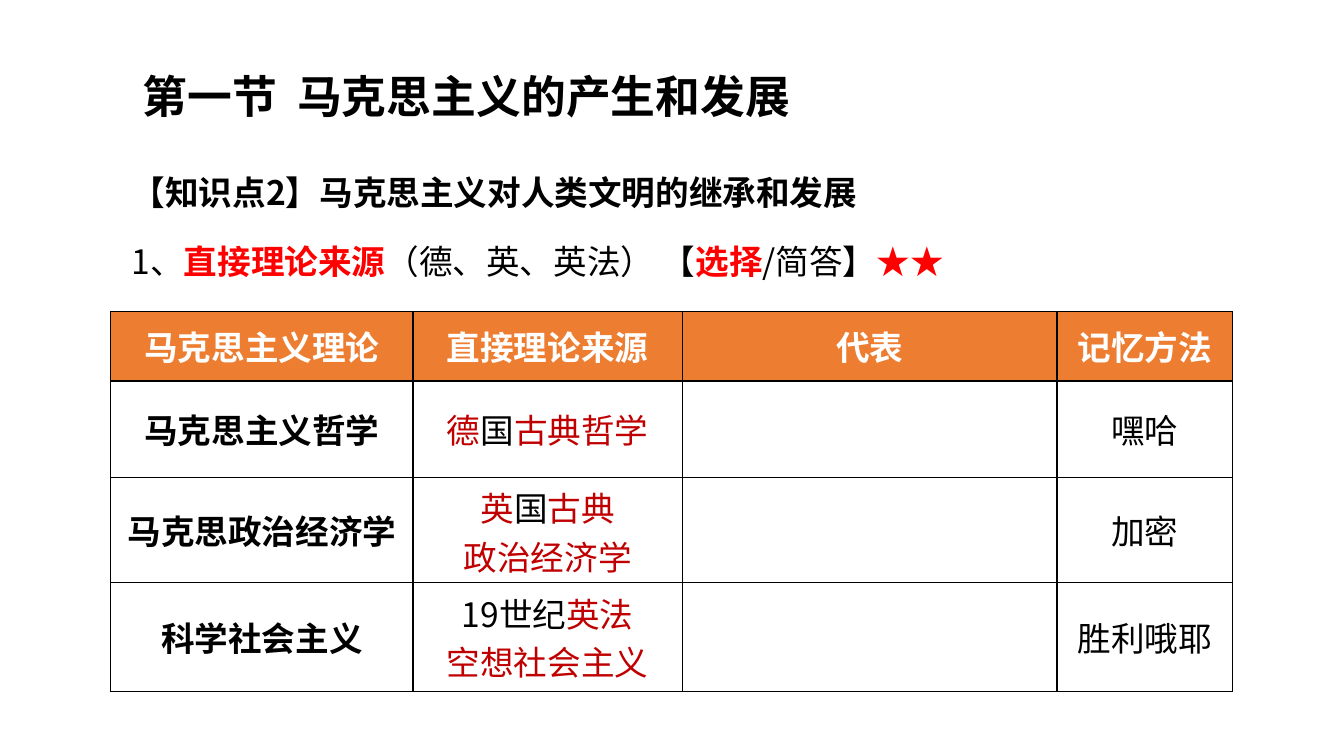
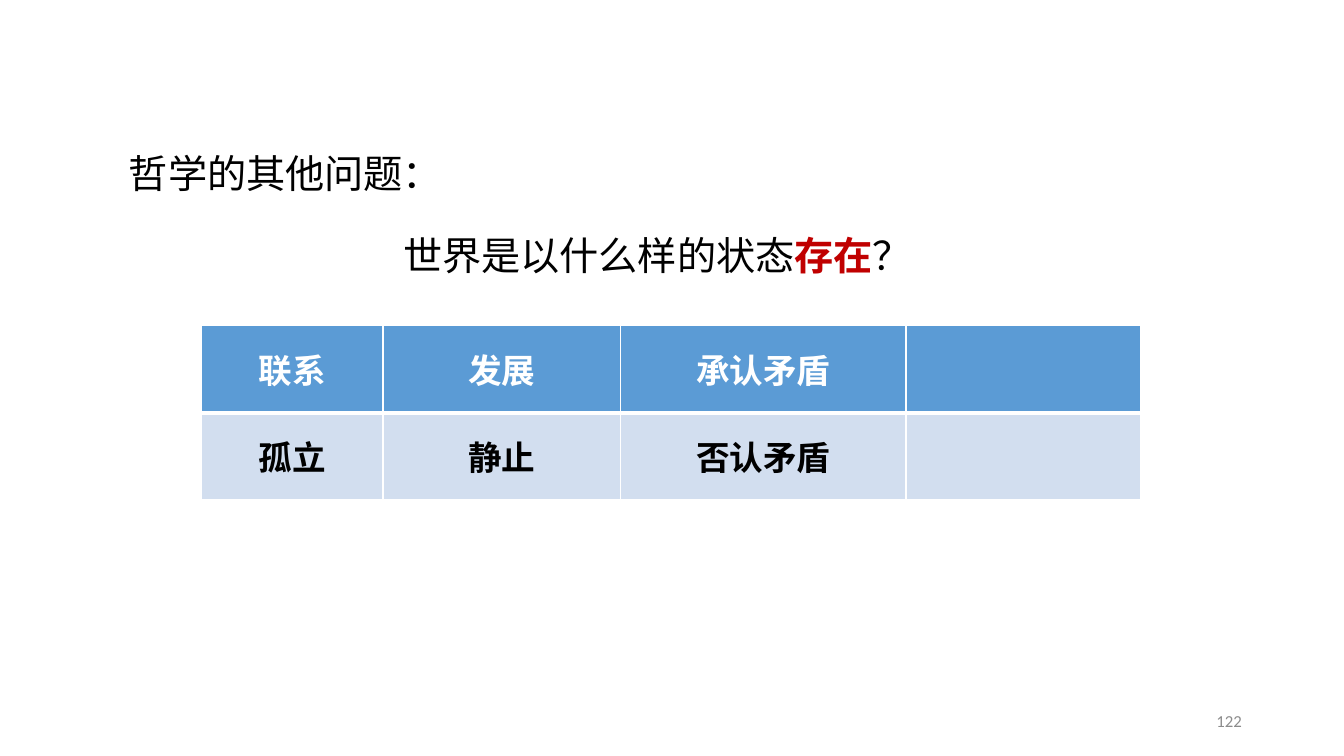
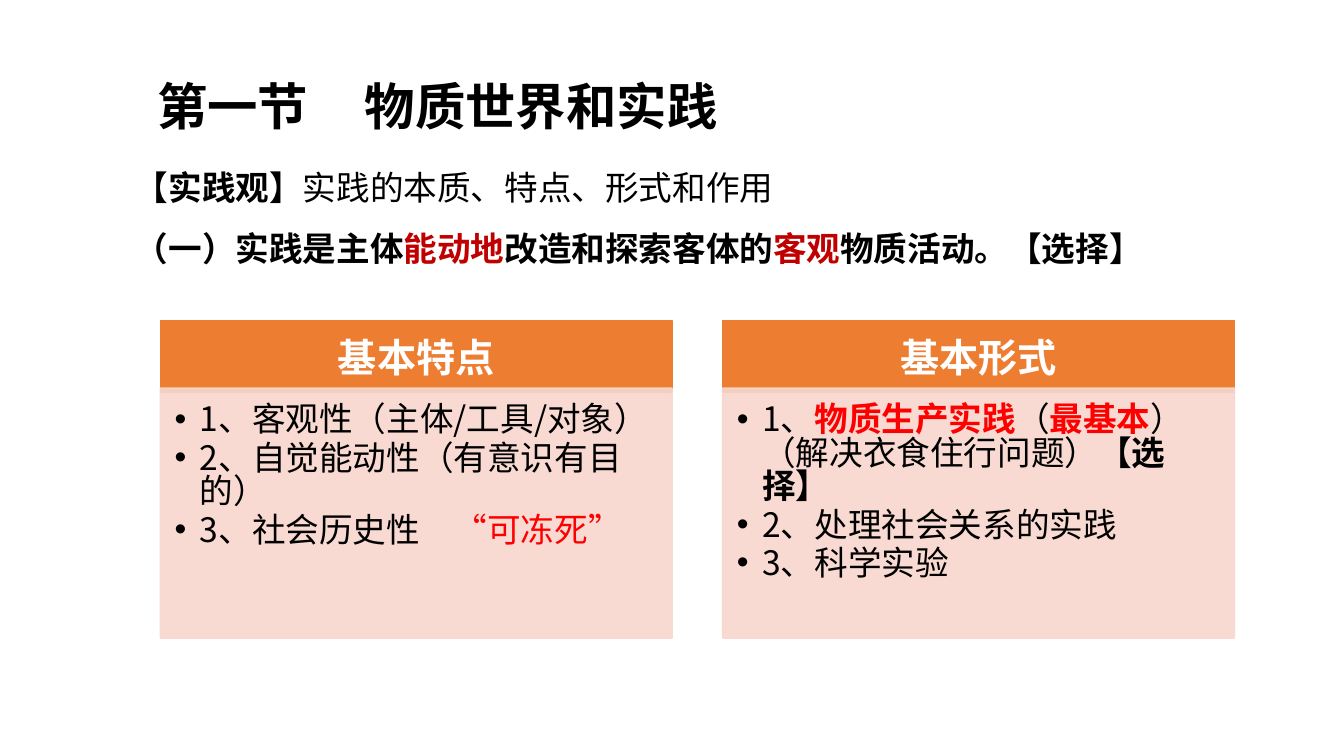
import pptx
import pptx.util
import pptx.dml.color
import pptx.enum.shapes
import pptx.enum.text
import pptx.oxml
import pptx.oxml.ns
from dataclasses import dataclass
from lxml import etree

Cm, Pt = pptx.util.Cm, pptx.util.Pt
RGB = pptx.dml.color.RGBColor.from_string
ALIGN, ANCHOR = pptx.enum.text.PP_ALIGN, pptx.enum.text.MSO_ANCHOR
RECT = pptx.enum.shapes.MSO_SHAPE.RECTANGLE
qn = pptx.oxml.ns.qn


@dataclass(frozen=True)
class Theme:
    font: str = "Noto Sans CJK SC"
    number_font: str = "Calibri"
    black: str = "000000"
    white: str = "FFFFFF"
    red: str = "FF0000"
    dark_red: str = "C00000"
    grey: str = "8C8C8C"
    orange: str = "ED7D31"
    peach: str = "F8D7CE"
    blue: str = "5B9BD5"
    pale_blue: str = "D2DEEF"
    section: int = 36
    title: int = 32
    lead: int = 28
    body: int = 24
    number: int = 12


T = Theme()

# Run styles: colour and weight
PLAIN, BOLD = (T.black, False), (T.black, True)
HEAD = (T.white, True)
RED, RED_BOLD = (T.red, False), (T.red, True)
DARK, DARK_BOLD = (T.dark_red, False), (T.dark_red, True)


def write(tf, paragraphs, size, align=ALIGN.LEFT, spacing=None, font=T.font):
    """Fill a text frame; each paragraph is a list of (text, style) runs."""
    tf.word_wrap = True
    for i, runs in enumerate(paragraphs):
        p = tf.add_paragraph() if i else tf.paragraphs[0]
        p.alignment = align
        p.line_spacing = spacing
        for text, (color, bold) in runs:
            r = p.add_run()
            r.text = text
            r.font.size, r.font.bold, r.font.name = Pt(size), bold, font
            r.font.color.rgb = RGB(color)
            etree.SubElement(r.font._element, qn("a:ea"), typeface=font)


def add_table(s, left, top, widths, heights, rows, fills, line, rules):
    """Add a table; rules gives the width of each horizontal line."""
    shape = s.shapes.add_table(len(rows), len(widths), Cm(left), Cm(top),
                               Cm(sum(widths)), Cm(sum(heights)))
    table = shape.table
    for col, width in zip(table.columns, widths):
        col.width = Cm(width)
    for i, (cells, height) in enumerate(zip(rows, heights)):
        table.rows[i].height = Cm(height)
        for j, paragraphs in enumerate(cells):
            cell = table.cell(i, j)
            cell.vertical_anchor = ANCHOR.MIDDLE
            borders = {"L": 1, "R": 1, "T": rules[i], "B": rules[i + 1]}
            for side, width in borders.items():
                ln = etree.SubElement(cell._tc.get_or_add_tcPr(),
                                      qn("a:ln" + side), w=str(Pt(width)))
                fill = etree.SubElement(ln, qn("a:solidFill"))
                etree.SubElement(fill, qn("a:srgbClr"), val=line)
            cell.fill.solid()
            cell.fill.fore_color.rgb = RGB(fills[i])
            write(cell.text_frame, paragraphs, T.body, ALIGN.CENTER)


prs = pptx.Presentation()
prs.slide_width, prs.slide_height = Cm(33.87), Cm(19.05)
sources, states, practice = [
    prs.slides.add_slide(prs.slide_layouts[6]) for _ in range(3)]

# Section titles, with a tab between number and name
titles = [
    (sources, 3.35, 1.6, 16.97, 1.63, T.title, 1, 3.89,
     "第一节\t马克思主义的产生和发展"),
    (practice, 3.71, 0.25, 22.12, 4.14, T.section, 2.0, 5.23,
     "第一节\t物质世界和实践"),
]
for s, left, top, width, height, size, spacing, stop, text in titles:
    tf = s.shapes.add_textbox(Cm(left), Cm(top), Cm(width), Cm(height)).text_frame
    write(tf, [[(text, BOLD)]], size, spacing=float(spacing))
    tabs = etree.SubElement(tf.paragraphs[0]._p.get_or_add_pPr(), qn("a:tabLst"))
    etree.SubElement(tabs, qn("a:tab"), pos=str(Cm(stop)), algn="l")

# Lead texts
leads = [
    (sources, 3.07, 3.78, 18.92, 1.63, T.body, 1.5, ANCHOR.MIDDLE,
     [[("【知识点2】马克思主义对人类文明的继承和发展", BOLD)]]),
    (sources, 3.07, 5.94, 23.6, 2.31, T.body, 1.0, ANCHOR.TOP,
     [[("1、", PLAIN), ("直接理论来源", RED_BOLD), ("（德、英、英法） 【", PLAIN),
       ("选择", RED_BOLD), ("/简答】", PLAIN), ("★★", RED)]]),
    (states, 3.0, 3.05, 16.87, 2.06, T.lead, 1.5, ANCHOR.TOP,
     [[("哲学的其他问题：", PLAIN)]]),
    (states, 9.91, 5.11, 14.02, 2.06, T.lead, 1.5, ANCHOR.TOP,
     [[("世界是以什么样的状态", PLAIN), ("存在", DARK_BOLD), ("？", PLAIN)]]),
    (practice, 3.15, 3.58, 27.18, 3.33, T.body, 1.5, ANCHOR.TOP,
     [[("【实践观】", BOLD), ("实践的本质、特点、形式和作用", PLAIN)],
      [("（一）实践是主体", BOLD), ("能动地", DARK_BOLD),
       ("改造和探索客体的", BOLD), ("客观", DARK_BOLD),
       ("物质活动。【选择】", BOLD)]]),
]
for s, left, top, width, height, size, spacing, anchor, paragraphs in leads:
    tf = s.shapes.add_textbox(Cm(left), Cm(top), Cm(width), Cm(height)).text_frame
    tf.vertical_anchor = anchor
    write(tf, paragraphs, size, spacing=spacing)

# Table of theory sources
headings = ["马克思主义理论", "直接理论来源", "代表", "记忆方法"]
theories = [
    ("马克思主义哲学",
     [[("德", DARK), ("国", PLAIN), ("古典哲学", DARK)]], "嘿哈"),
    ("马克思政治经济学",
     [[("英", DARK), ("国", PLAIN), ("古典", DARK)], [("政治经济学", DARK)]],
     "加密"),
    ("科学社会主义",
     [[("19世纪", PLAIN), ("英法", DARK)], [("空想社会主义", DARK)]],
     "胜利哦耶"),
]
rows = [[[[(h, HEAD)]] for h in headings]]
rows += [[[[(name, BOLD)]], source, [], [[(hint, PLAIN)]]]
         for name, source, hint in theories]
add_table(sources, 2.79, 7.85, [7.62, 6.78, 9.45, 4.42],
          [1.75, 2.44, 2.64, 2.74], rows, [T.orange] + [T.white] * 3,
          T.black, [1] * 5)

# Table of opposed states
pairs = [("联系", "孤立"), ("发展", "静止"), ("承认矛盾", "否认矛盾")]
rows = [[[[(pair[i], style)]] for pair in pairs] + [[]]
        for i, style in enumerate([HEAD, BOLD])]
add_table(states, 5.08, 8.2, [4.57, 5.99, 7.19, 5.92], [2.2, 2.2], rows,
          [T.blue, T.pale_blue], T.white, [1, 3, 1])

# Slide number
tf = states.shapes.add_textbox(Cm(23.93), Cm(17.65), Cm(7.62), Cm(1.02)).text_frame
tf.vertical_anchor = ANCHOR.MIDDLE
write(tf, [[("122", (T.grey, False))]], T.number, ALIGN.RIGHT, font=T.number_font)

# Two panels: heading bar over a bulleted list
panels = [
    ("基本特点",
     [[("1、客观性（主体/工具/对象）", PLAIN)],
      [("2、自觉能动性（有意识有目的）", PLAIN)],
      [("3、社会历史性　", PLAIN), ("“可冻死”", RED)]]),
    ("基本形式",
     [[("1、", PLAIN), ("物质生产实践", RED_BOLD), ("（", PLAIN),
       ("最基本", RED_BOLD), ("）（解决衣食住行问题）", PLAIN), ("【选择】", BOLD)],
      [("2、处理社会关系的实践", PLAIN)],
      [("3、科学实验", PLAIN)]]),
]
for i, (heading, items) in enumerate(panels):
    left = 4.04 + i * 14.17
    bar = practice.shapes.add_shape(RECT, Cm(left), Cm(8.08), Cm(12.9), Cm(1.8))
    body = practice.shapes.add_shape(RECT, Cm(left), Cm(9.78), Cm(12.9), Cm(6.3))
    for sp, color in [(bar, T.orange), (body, T.peach)]:
        sp.shadow.inherit = False
        sp.fill.solid()
        sp.fill.fore_color.rgb = sp.line.color.rgb = RGB(color)
        sp.line.width = Pt(1)
    for clr in body._element.spPr.iter(qn("a:srgbClr")):
        etree.SubElement(clr, qn("a:alpha"), val="90000")

    bar.text_frame.vertical_anchor = ANCHOR.MIDDLE
    write(bar.text_frame, [[(heading, HEAD)]], T.lead, ALIGN.CENTER)

    tf = body.text_frame
    tf.vertical_anchor = ANCHOR.TOP
    tf.margin_left, tf.margin_right = Cm(0.36), Cm(0.48)
    tf.margin_top, tf.margin_bottom = Cm(0.43), Cm(0.53)
    write(tf, items, T.body, spacing=0.83)
    for p in tf.paragraphs:
        p.space_after = Pt(3.6)
        pPr = p._p.get_or_add_pPr()
        pPr.set("marL", str(Cm(0.64)))
        pPr.set("indent", str(-Cm(0.64)))
        etree.SubElement(pPr, qn("a:buFont"), typeface="Arial")
        etree.SubElement(pPr, qn("a:buChar"), char="•")

prs.save("out.pptx")
